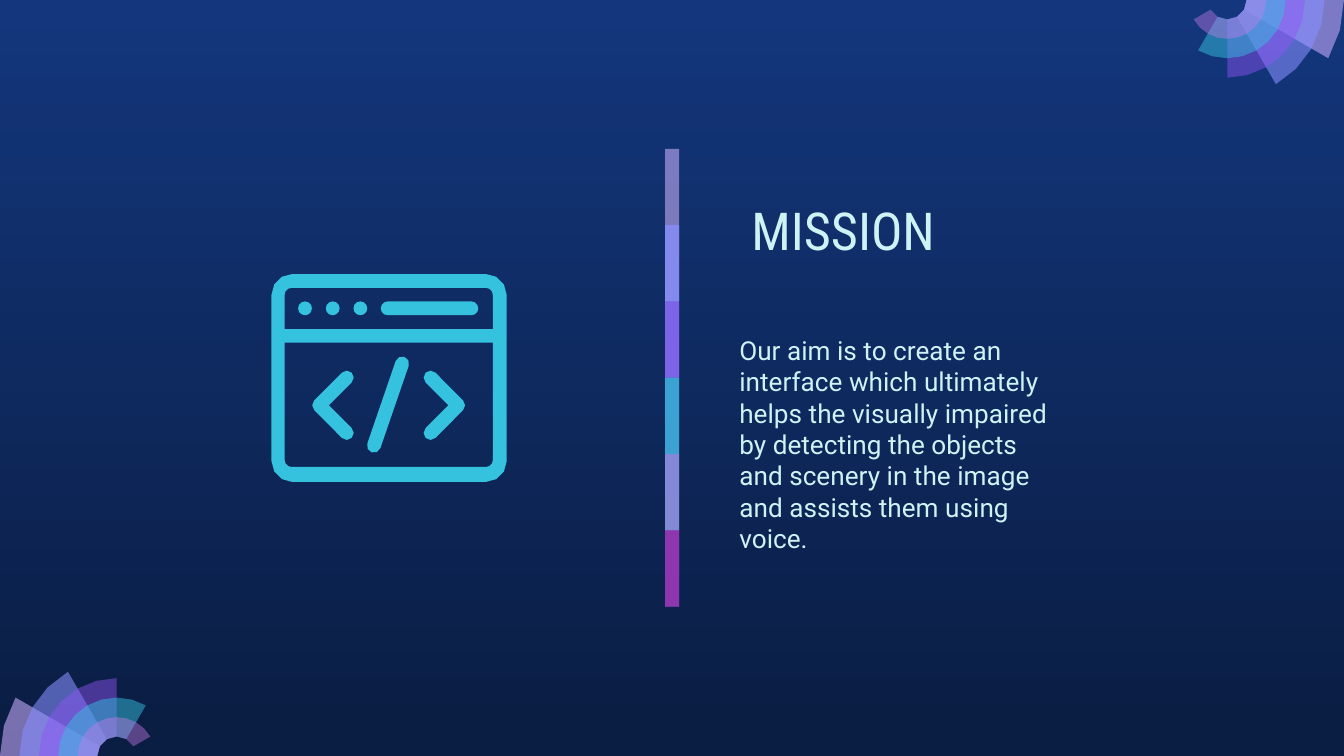
import math

import pptx
import pptx.dml.color
import pptx.enum.shapes
import pptx.enum.text
import pptx.oxml
import pptx.oxml.ns
import pptx.util

COLORS = {
    "sky": "13367C", "night": "0A1D42", "text": "CEF3F5", "cyan": "35C2DF",
    "lilac": "C8AEF8", "lavender": "C8ACFD", "periwinkle": "878FFF",
    "violet": "9154F8", "orchid": "CA7BEB", "purple": "972CB4",
}
DIVIDER = [("lilac", 59), ("periwinkle", 74), ("violet", 53),
           ("cyan", 76), ("orchid", 56), ("purple", 74)]
FAN = [("lavender", 58), ("periwinkle", 58), ("violet", 46), ("cyan", 49), ("orchid", 42)]
SHAPES = pptx.enum.shapes.MSO_SHAPE
ANCHORS = pptx.enum.text.MSO_ANCHOR


def rgb(name):
    """Return the named colour."""
    return pptx.dml.color.RGBColor.from_string(COLORS[name])


def paint(shape, color, opacity=100):
    """Fill a shape without line or shadow, at an opacity in percent."""
    shape.shadow.inherit = False
    shape.line.fill.background()
    shape.fill.solid()
    shape.fill.fore_color.rgb = rgb(color)
    if opacity < 100:
        color_element = shape.fill._xPr.find(".//" + pptx.oxml.ns.qn("a:srgbClr"))
        alpha = pptx.oxml.parse_xml(
            f'<a:alpha {pptx.oxml.ns.nsdecls("a")} val="{opacity * 1000}"/>')
        color_element.append(alpha)


def arc(x, y, radius, start, end, step=45):
    """Return points on an arc, with angles in degrees clockwise from the right."""
    count = math.ceil(abs(end - start) / step)
    angles = [math.radians(start + (end - start) * index / count) for index in range(count + 1)]
    return [(x + radius * math.cos(angle), y + radius * math.sin(angle)) for angle in angles]


def add_outline(shapes, contours, color, opacity=100):
    """Draw closed contours as one filled freeform."""
    builder = shapes.build_freeform(*contours[0][0])
    for index, contour in enumerate(contours):
        if index:
            builder.move_to(*contour[0])
        builder.add_line_segments(contour[1:], close=True)
    paint(builder.convert_to_shape(), color, opacity)


def rounded(left, top, right, bottom, radii):
    """Return a rectangle contour with radii from top left clockwise."""
    corners = [(left, top, 1, 1), (right, top, -1, 1),
               (right, bottom, -1, -1), (left, bottom, 1, -1)]
    points = []
    for index, ((x, y, across, down), radius) in enumerate(zip(corners, radii)):
        start = 180 + 90 * index
        if radius:
            points += arc(x + across * radius, y + down * radius, radius,
                          start, start + 90, 30)
        else:
            points.append((x, y))
    return points


def add_divider(slide, box):
    """Stack translucent bands, each reaching under the next one."""
    left, top, width, height = box
    row = height / len(DIVIDER)
    shapes = slide.shapes.add_group_shape().shapes
    for index, (color, opacity) in enumerate(DIVIDER):
        rows = min(2, len(DIVIDER) - index)
        band = shapes.add_shape(SHAPES.RECTANGLE, int(left), int(top + index * row),
                                int(width), int(rows * row))
        paint(band, color, opacity)


def add_text(slide, box, text, font, size, anchor):
    """Place one wrapped paragraph in a box."""
    frame = slide.shapes.add_textbox(*map(int, box)).text_frame
    frame.word_wrap = True
    frame.vertical_anchor = anchor
    inset = pptx.util.Inches(0.1)
    frame.margin_left = frame.margin_right = frame.margin_top = frame.margin_bottom = inset
    paragraph = frame.paragraphs[0]
    paragraph.text = text
    paragraph.font.name = font
    paragraph.font.size = pptx.util.Pt(size)
    paragraph.font.color.rgb = rgb("text")


def add_code_window(slide, box):
    """Draw a code window icon on a grid of 34 columns and 30 rows."""
    left, top, width, height = box
    column, row = width / 34, height / 30
    shapes = slide.shapes.add_group_shape().shapes

    def outline(*contours):
        placed = [[(left + x * column, top + y * row) for x, y in contour]
                  for contour in contours]
        add_outline(shapes, placed, "cyan")

    def preset(kind, x, columns):
        shape = shapes.add_shape(kind, int(left + x * column), int(top + 3.95 * row),
                                 int(columns * column), int(2 * row))
        paint(shape, "cyan")
        return shape

    outline(rounded(0, 0, 34, 30, (3, 3, 3, 3)),
            rounded(1.9, 2, 32, 7.95, (1, 1, 0, 0)),
            rounded(1.9, 9.9, 32, 27.85, (0, 0, 1, 1)))
    for x in (3.85, 7.85, 11.85):
        preset(SHAPES.OVAL, x, 2)
    preset(SHAPES.ROUNDED_RECTANGLE, 15.8, 14.1).adjustments[0] = 0.5

    chevron = (arc(-4, 15, 1, 135, 315) + arc(0, 19, 1, -45, 45)
               + arc(-4, 23, 1, 45, 225) + [(-math.sqrt(2), 19)])
    for apex, direction in ((27, 1), (6.9, -1)):
        outline([(apex + direction * x, y - 0.05) for x, y in chevron])
    slope = math.degrees(math.atan2(12, -4.1))
    outline(arc(18.9, 12.9, 1, slope + 90, slope + 270)
            + arc(14.8, 24.8, 1, slope - 90, slope + 90))


def add_fan(slide, box, start):
    """Fan ring sectors around the hub on the slide edge, from a starting angle."""
    hub_x, hub_y, radius = box
    ring = radius / 6
    shapes = slide.shapes.add_group_shape().shapes
    for index, (color, opacity) in enumerate(FAN):
        end = start + 30 * (index + 1)
        sector = (arc(hub_x, hub_y, radius - index * ring, start, end, 15)
                  + arc(hub_x, hub_y, ring, end, start, 30))
        add_outline(shapes, [sector], color, opacity)


def main():
    """Build and save the mission slide."""
    presentation = pptx.Presentation()
    presentation.slide_width = pptx.util.Inches(10)
    presentation.slide_height = pptx.util.Inches(5.625)
    width, height = presentation.slide_width, presentation.slide_height
    slide = presentation.slides.add_slide(presentation.slide_layouts[6])

    fill = slide.background.fill
    fill.gradient()
    fill.gradient_angle = 270
    for stop, color in zip(fill.gradient_stops, ("sky", "night")):
        stop.color.rgb = rgb(color)

    def share(left, top, across, down):
        return (width * left / 100, height * top / 100,
                width * across / 100, height * down / 100)

    add_divider(slide, share(49.5, 19.7, 1.03, 60.55))
    add_text(slide, share(54.93, 17.42, 20.8, 18.84), "MISSION",
             "Roboto Condensed", 28, ANCHORS.BOTTOM)
    add_text(slide, share(54.03, 42.42, 25.6, 35),
             "Our aim is to create an interface which ultimately helps the visually "
             "impaired by detecting the objects and scenery in the image and assists "
             "them using voice.", "Roboto", 14, ANCHORS.TOP)
    add_code_window(slide, share(20.2, 36.25, 17.5, 27.5))
    radius = width * 0.0868
    add_fan(slide, (radius, height, radius), 180)
    add_fan(slide, (width - radius, 0, radius), 0)
    presentation.save("out.pptx")


if __name__ == "__main__":
    main()
